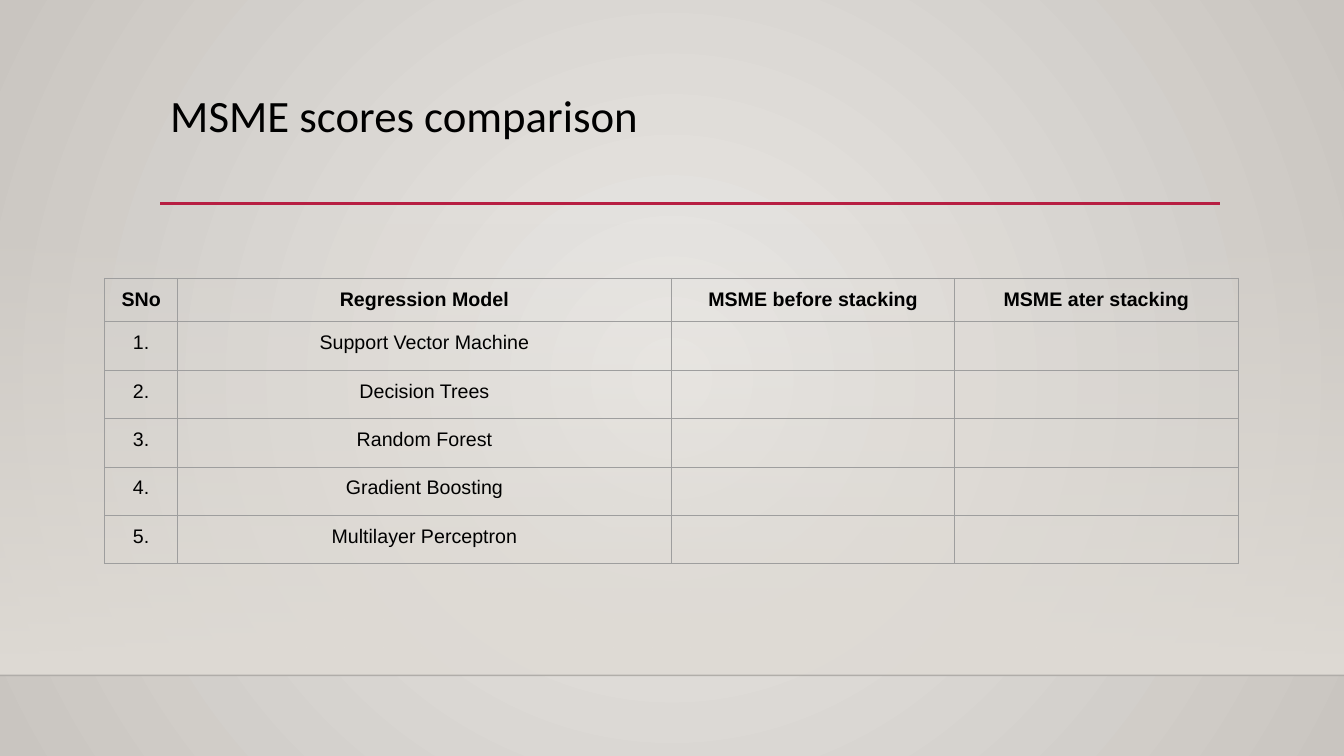
from lxml import etree
from pptx import Presentation
from pptx import util as u
from pptx.dml.color import RGBColor
from pptx.enum import shapes, text
from pptx.oxml import parse_xml
from pptx.oxml.ns import nsdecls, qn

BLACK = RGBColor(0x00, 0x00, 0x00)
FLOOR_EDGE = RGBColor(0x00, 0x00, 0x01)
CRIMSON = RGBColor(0xB7, 0x1E, 0x42)
BORDER = RGBColor(0x9E, 0x9E, 0x9E)
GLOW = RGBColor(0xEB, 0xE9, 0xE6)
RIM = RGBColor(0xC9, 0xC5, 0xC0)
WALL = RGBColor(0xDF, 0xDB, 0xD5)

RADIAL = ('<a:path path="circle"><a:fillToRect l="50000" t="50000" '
          'r="50000" b="50000"/></a:path>')
DOWNWARD = '<a:lin ang="5400000" scaled="0"/>'

HEADERS = ["SNo", "Regression Model", "MSME before stacking", "MSME ater stacking"]
MODELS = ["Support Vector Machine", "Decision Trees", "Random Forest",
          "Gradient Boosting", "Multilayer Perceptron"]
COLUMN_WIDTHS = [0.72, 4.9, 2.81, 2.81]
HEADER_HEIGHT, ROW_HEIGHT = 0.42, 0.48


def set_format(target, values):
    for name, value in values.items():
        setattr(target, name, value)


def replace_with_gradient(properties, stops, direction):
    """Swap a solid fill for a gradient of (position, colour, opacity) stops."""
    stop_xml = "".join(
        f'<a:gs pos="{position * 1000}"><a:srgbClr val="{color}">'
        f'<a:alpha val="{opacity * 1000}"/></a:srgbClr></a:gs>'
        for position, color, opacity in stops)
    gradient = parse_xml(f'<a:gradFill {nsdecls("a")} rotWithShape="1">'
                         f'<a:gsLst>{stop_xml}</a:gsLst>{direction}</a:gradFill>')
    properties.replace(properties.find(qn("a:solidFill")), gradient)


def add_background(slide):
    slide.background.fill.solid()
    properties = slide.element.find(".//" + qn("p:bgPr"))
    replace_with_gradient(properties, [(0, GLOW, 100), (100, RIM, 100)], RADIAL)


def add_wall(slide, left, top, width, height):
    wall = slide.shapes.add_shape(
        shapes.MSO_SHAPE.RECTANGLE, *map(u.Inches, (left, top, width, height)))
    wall.shadow.inherit = False
    wall.line.fill.background()
    wall.fill.solid()
    replace_with_gradient(wall.element.spPr, [(0, WALL, 0), (100, WALL, 100)], DOWNWARD)


def add_rule(slide, left, right, y, color, width, opacity=100):
    rule = slide.shapes.add_connector(
        shapes.MSO_CONNECTOR.STRAIGHT, *map(u.Inches, (left, y, right, y)))
    rule.line.color.rgb = color
    rule.line.width = u.Pt(width)
    if opacity < 100:
        color_element = rule.element.spPr.find(".//" + qn("a:srgbClr"))
        etree.SubElement(color_element, qn("a:alpha"), val=str(opacity * 1000))
    etree.SubElement(rule.element.spPr, qn("a:effectLst"))


def write(paragraph, wording, size, font_name, bold=False):
    run = paragraph.add_run()
    run.text = wording
    set_format(run.font, {"size": u.Pt(size), "name": font_name, "bold": bold})
    run.font.color.rgb = BLACK


def add_title(slide, wording, left, top, width, height):
    title = slide.shapes.add_textbox(*map(u.Inches, (left, top, width, height)))
    title.text_frame.word_wrap = True
    paragraph = title.text_frame.paragraphs[0]
    paragraph.line_spacing = 0.9
    write(paragraph, wording, 32, "Calibri")


def add_borders(cell):
    properties = cell._tc.get_or_add_tcPr()
    for position, side in enumerate(("lnL", "lnR", "lnT", "lnB")):
        properties.insert(position, parse_xml(
            f'<a:{side} {nsdecls("a")} w="{u.Pt(0.75)}"><a:solidFill>'
            f'<a:srgbClr val="{BORDER}"/></a:solidFill></a:{side}>'))


def format_cell(cell, wording, bold):
    cell.fill.background()
    add_borders(cell)
    if wording:
        margins = ("margin_left", "margin_right", "margin_top", "margin_bottom")
        set_format(cell, dict.fromkeys(margins, u.Inches(0.1)))
        paragraph = cell.text_frame.paragraphs[0]
        paragraph.alignment = text.PP_ALIGN.CENTER
        write(paragraph, wording, 14, "Arial", bold)


def add_score_table(slide, left, top):
    rows = [HEADERS] + [[f"{number}.", model, "", ""]
                        for number, model in enumerate(MODELS, 1)]
    heights = [HEADER_HEIGHT] + [ROW_HEIGHT] * len(MODELS)
    size = (sum(COLUMN_WIDTHS), sum(heights))
    table = slide.shapes.add_table(
        len(rows), len(HEADERS), *map(u.Inches, (left, top, *size))).table
    set_format(table, {"first_row": False, "horz_banding": False})
    for column, width in zip(table.columns, COLUMN_WIDTHS):
        column.width = u.Inches(width)
    for row_index, (row, height) in enumerate(zip(rows, heights)):
        table.rows[row_index].height = u.Inches(height)
        for column_index, wording in enumerate(row):
            format_cell(table.cell(row_index, column_index), wording, row_index == 0)


def main():
    presentation = Presentation()
    set_format(presentation, {"slide_width": u.Inches(13.33),
                              "slide_height": u.Inches(7.5)})
    slide = presentation.slides.add_slide(presentation.slide_layouts[6])

    # Backdrop: radial glow, wall and floor edge
    add_background(slide)
    add_wall(slide, 0, 2.21, 13.33, 4.49)
    add_rule(slide, 0, 13.33, 6.7, FLOOR_EDGE, 1, opacity=20)

    # Title with its underline
    add_rule(slide, 1.59, 12.1, 2.02, CRIMSON, 2.5)
    add_title(slide, "MSME scores comparison", 1.59, 0.88, 10.5, 1.15)

    # Model scores
    add_score_table(slide, 1.04, 2.76)

    presentation.save("out.pptx")


if __name__ == "__main__":
    main()
